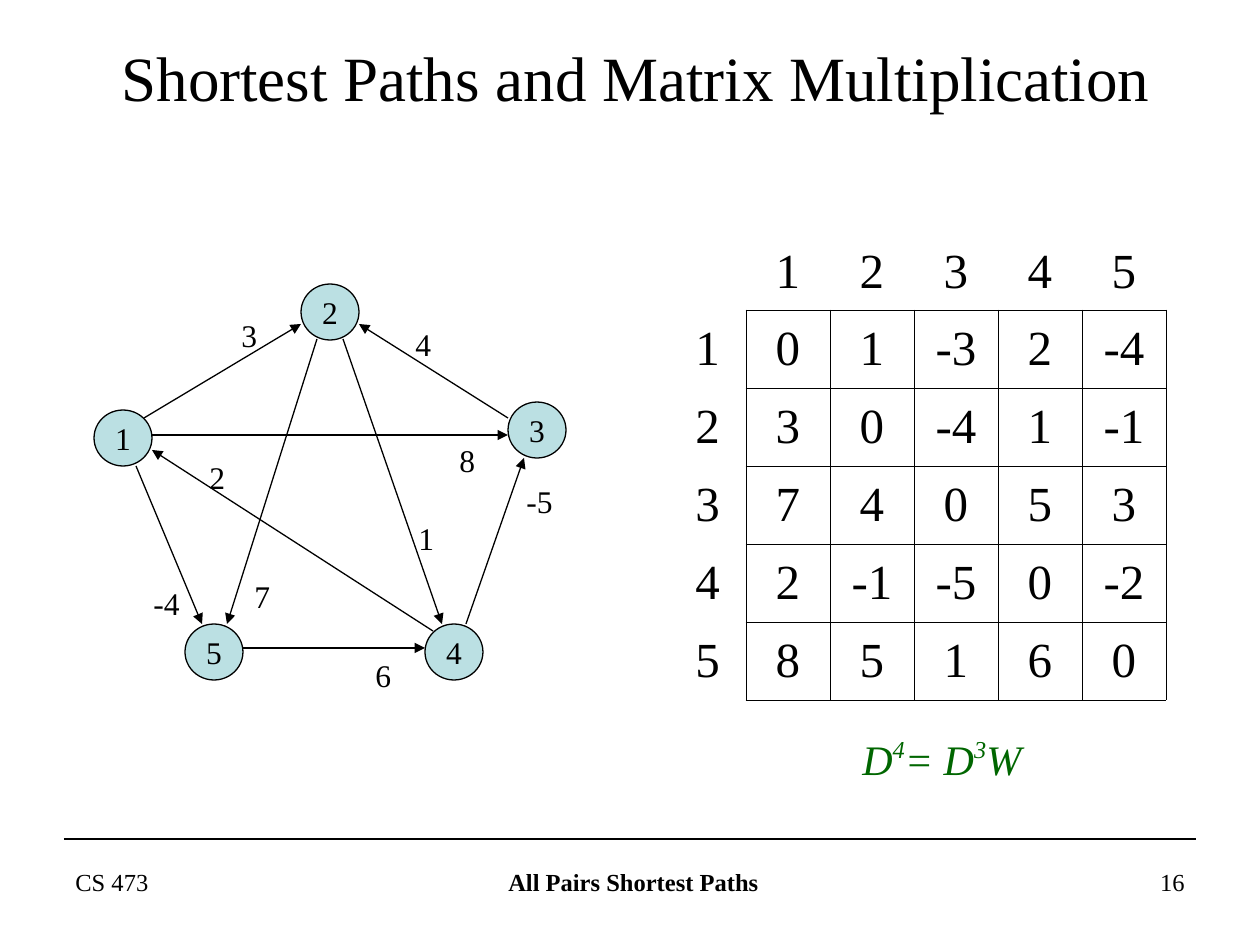
"""Build the slide on shortest paths and matrix multiplication."""
from typing import Any, NamedTuple

import lxml.etree
import pptx
import pptx.dml.color
import pptx.enum.shapes
import pptx.enum.text
import pptx.oxml.ns
import pptx.util

ALIGN = pptx.enum.text.PP_ALIGN
ANCHOR = pptx.enum.text.MSO_ANCHOR
SHAPE = pptx.enum.shapes.MSO_SHAPE
FONT = "Times New Roman"
BLACK, NODE_FILL, GREEN = "000000", "BBE0E3", "006600"
NODE_W, NODE_H = 58, 56
LABEL_H = 50
HEAD_W, HEAD_H, CELL_W, CELL_H = 77, 76, 84, 78


class Node(NamedTuple):
    name: str
    x: int
    y: int


class Edge(NamedTuple):
    x1: int
    y1: int
    x2: int
    y2: int


class Label(NamedTuple):
    text: str
    x: int
    y: int
    w: int = 40


class Footer(NamedTuple):
    text: str
    x: int
    w: int
    align: Any
    bold: bool = False


NODES = [Node("1", 94, 410), Node("2", 301, 284), Node("3", 508, 402),
         Node("4", 425, 624), Node("5", 185, 624)]
EDGES = [Edge(144, 418, 301, 324), Edge(508, 418, 359, 324),
         Edge(466, 624, 524, 458), Edge(243, 648, 425, 648),
         Edge(136, 466, 202, 624), Edge(317, 339, 227, 624),
         Edge(343, 339, 442, 624), Edge(433, 631, 152, 450),
         Edge(152, 435, 508, 435)]
WEIGHTS = [Label("2", 197, 452), Label("1", 406, 513), Label("4", 403, 319),
           Label("3", 229, 310), Label("8", 447, 435), Label("-5", 514, 476, 52),
           Label("-4", 141, 578, 52), Label("6", 363, 650), Label("7", 242, 571)]
FOOTERS = [Footer("CS 473", 63, 294, ALIGN.LEFT),
           Footer("All Pairs Shortest Paths", 434, 399, ALIGN.CENTER, True),
           Footer("16", 903, 294, ALIGN.RIGHT)]
DISTANCES = [[0, 1, -3, 2, -4], [3, 0, -4, 1, -1], [7, 4, 0, 5, 3],
             [2, -1, -5, 0, -2], [8, 5, 1, 6, 0]]


def px(n: int) -> int:
    return round(n * 914400 / 126)


def color(value: str) -> pptx.dml.color.RGBColor:
    return pptx.dml.color.RGBColor.from_string(value)


def write(tf: Any, text: str, *, size: int, fill: str = BLACK, bold: bool = False,
          italic: bool = False, raised: bool = False, align: Any = ALIGN.LEFT) -> None:
    p = tf.paragraphs[0]
    p.alignment = align
    r = p.add_run()
    r.text = text
    r.font.name, r.font.size = FONT, pptx.util.Pt(size)
    r.font.bold, r.font.italic = bold, italic
    r.font.color.rgb = color(fill)
    if raised:
        r._r.get_or_add_rPr().set("baseline", "40000")


def add_box(shapes: Any, x: int, y: int, w: int, h: int, wrap: bool = False) -> Any:
    tf = shapes.add_textbox(px(x), px(y), px(w), px(h)).text_frame
    tf.word_wrap = wrap
    return tf


def add_node(shapes: Any, node: Node) -> None:
    sp = shapes.add_shape(SHAPE.OVAL, px(node.x), px(node.y), px(NODE_W), px(NODE_H))
    sp.shadow.inherit = False
    sp.fill.solid()
    sp.fill.fore_color.rgb = color(NODE_FILL)
    sp.line.color.rgb = color(BLACK)
    sp.line.width = pptx.util.Pt(0.75)
    tf = sp.text_frame
    tf.word_wrap = False
    tf.vertical_anchor = ANCHOR.MIDDLE
    write(tf, node.name, size=18, align=ALIGN.CENTER)


def add_line(shapes: Any, edge: Edge, arrow: bool = False) -> None:
    c = shapes.add_connector(pptx.enum.shapes.MSO_CONNECTOR.STRAIGHT, *map(px, edge))
    c.line.color.rgb = color(BLACK)
    c.line.width = pptx.util.Pt(0.75)
    qn = pptx.oxml.ns.qn
    if arrow:
        lxml.etree.SubElement(c.line._get_or_add_ln(), qn("a:tailEnd"), type="triangle")
    lxml.etree.SubElement(c._element.spPr, qn("a:effectLst"))


def set_borders(cell: Any, sides: str) -> None:
    qn = pptx.oxml.ns.qn
    tcPr = cell._tc.get_or_add_tcPr()
    for side in "LRTB":
        ln = lxml.etree.SubElement(tcPr, qn(f"a:ln{side}"), w="5715")
        if side in sides:
            fill = lxml.etree.SubElement(ln, qn("a:solidFill"))
            lxml.etree.SubElement(fill, qn("a:srgbClr"), val=BLACK)
        else:
            lxml.etree.SubElement(ln, qn("a:noFill"))


def add_matrix(shapes: Any, x: int, y: int, values: list[list[int]]) -> None:
    n = len(values)
    table = shapes.add_table(n + 1, n + 1, px(x), px(y), px(HEAD_W + n * CELL_W),
                             px(HEAD_H + n * CELL_H)).table
    table.first_row = table.horz_banding = False
    names = list(range(1, n + 1))
    rows = [["", *names]] + [[name, *row] for name, row in zip(names, values)]
    for i, row in enumerate(rows):
        table.rows[i].height = px(CELL_H if i else HEAD_H)
        table.columns[i].width = px(CELL_W if i else HEAD_W)
        for j, value in enumerate(row):
            cell = table.cell(i, j)
            set_borders(cell, "LRTB" if i and j else "R" if i else "B" if j else "")
            cell.fill.background()
            cell.vertical_anchor = ANCHOR.MIDDLE
            if i or j:
                write(cell.text_frame, str(value), size=28, align=ALIGN.CENTER)


def main() -> None:
    prs = pptx.Presentation()
    prs.slide_width, prs.slide_height = px(1260), px(945)
    s = prs.slides.add_slide(prs.slide_layouts[5])

    title = s.shapes.title
    title.left, title.top, title.width, title.height = map(px, (69, 38, 1134, 77))
    title.text_frame.vertical_anchor = ANCHOR.MIDDLE
    write(title.text_frame, "Shortest Paths and Matrix Multiplication", size=36,
          align=ALIGN.CENTER)

    add_line(s.shapes, Edge(64, 839, 1196, 839))
    for footer in FOOTERS:
        tf = add_box(s.shapes, footer.x, 861, footer.w, 66, wrap=True)
        write(tf, footer.text, size=14, bold=footer.bold, align=footer.align)

    add_matrix(s.shapes, 669, 234, DISTANCES)
    formula = add_box(s.shapes, 850, 727, 194, 63)
    for text, raised in [("D", False), ("4", True), ("= D", False), ("3", True), ("W", False)]:
        write(formula, text, size=24, fill=GREEN, italic=True, raised=raised)

    graph = s.shapes.add_group_shape().shapes
    for node in NODES:
        add_node(graph, node)
    for edge in EDGES:
        add_line(graph, edge, arrow=True)
    for label in WEIGHTS:
        write(add_box(graph, label.x, label.y, label.w, LABEL_H), label.text, size=18)

    prs.save("out.pptx")


if __name__ == "__main__":
    main()
